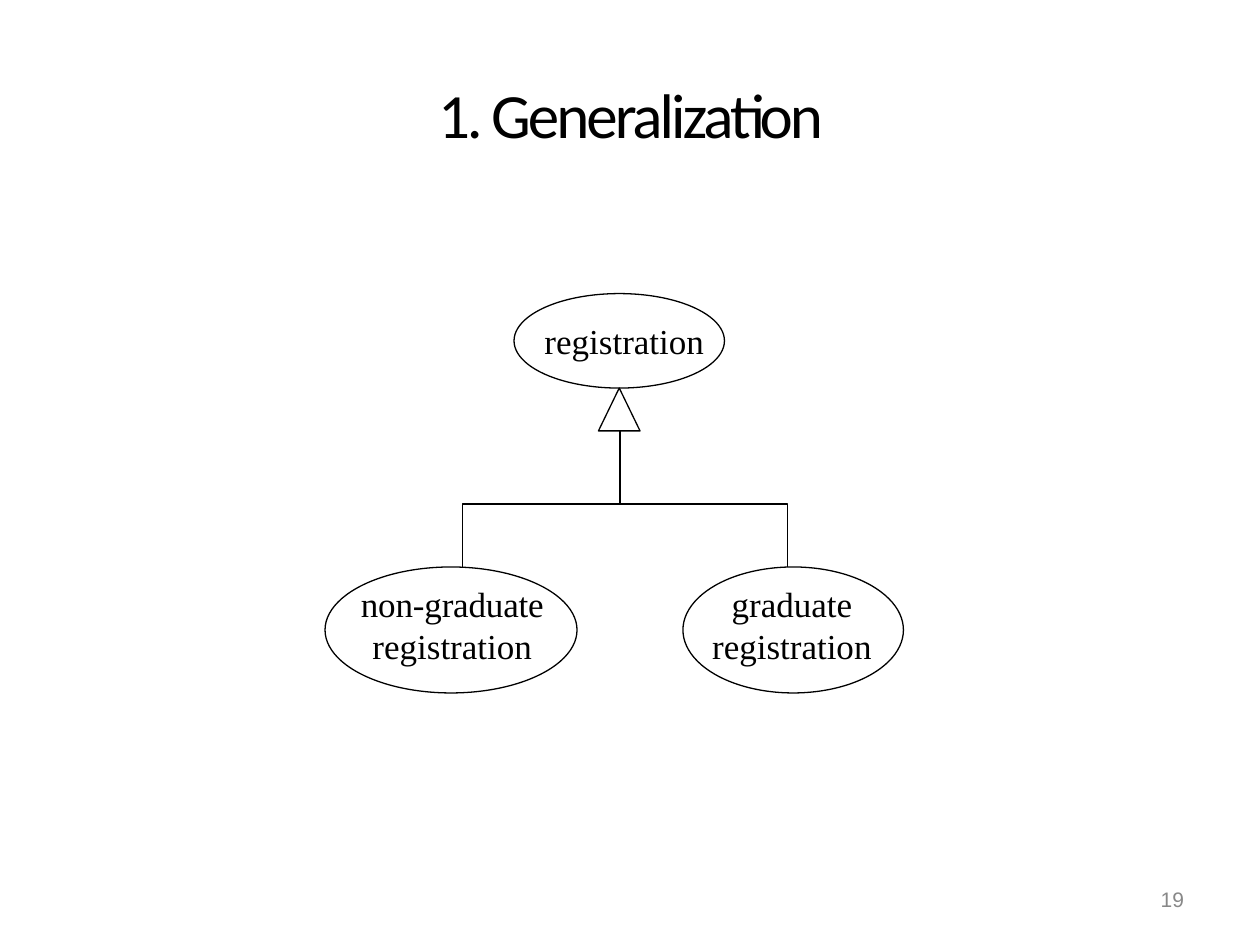
from dataclasses import dataclass

from pptx import Presentation
from pptx.dml.color import RGBColor
from pptx.enum.shapes import MSO_SHAPE
from pptx.enum.text import MSO_ANCHOR, PP_ALIGN
from pptx.util import Inches, Pt


@dataclass(frozen=True)
class Theme:
    ink: RGBColor = RGBColor(0x00, 0x00, 0x00)
    muted: RGBColor = RGBColor(0x88, 0x88, 0x88)
    title_font: str = "Calibri"
    label_font: str = "Times New Roman"
    number_font: str = "Arial"
    title_size: Pt = Pt(36)
    label_size: Pt = Pt(20)
    number_size: Pt = Pt(12)
    line_width: Pt = Pt(0.75)


theme = Theme()


def write_lines(shape, box, lines, font_name, size, color, top_margin=0.01):
    shape.left, shape.top, shape.width, shape.height = map(Inches, box)
    frame = shape.text_frame
    frame.word_wrap = False
    frame.margin_left = frame.margin_right = frame.margin_bottom = 0
    frame.margin_top = Inches(top_margin)
    for index, (line, spacing) in enumerate(lines):
        paragraph = frame.paragraphs[0] if index == 0 else frame.add_paragraph()
        paragraph.alignment = PP_ALIGN.CENTER
        run = paragraph.add_run()
        run.text = line
        run.font.name = font_name
        run.font.size = size
        run.font.color.rgb = color
        run._r.get_or_add_rPr().set("spc", str(spacing))


def outline(shape):
    shape.shadow.inherit = False
    shape.fill.background()
    shape.line.color.rgb = theme.ink
    shape.line.width = theme.line_width


presentation = Presentation()
presentation.slide_width = Inches(10)
presentation.slide_height = Inches(7.5)
slide = presentation.slides.add_slide(presentation.slide_layouts[5])

title = slide.shapes.title
write_lines(
    title, (1.88, 0.58, 6.25, 0.62), [("1. Generalization", -170)],
    theme.title_font, theme.title_size, theme.ink, 0.02,
)
title.text_frame.vertical_anchor = MSO_ANCHOR.MIDDLE

nodes = [
    (MSO_SHAPE.OVAL, (4.08, 2.33, 1.67, 0.75)),
    (MSO_SHAPE.OVAL, (2.58, 4.5, 2, 1)),
    (MSO_SHAPE.OVAL, (5.42, 4.5, 1.75, 1)),
    (MSO_SHAPE.ISOSCELES_TRIANGLE, (4.75, 3.08, 0.33, 0.34)),
]
for preset, box in nodes:
    outline(slide.shapes.add_shape(preset, *map(Inches, box)))

trunk_x, left_x, right_x = Inches(4.92), Inches(3.67), Inches(6.25)
arrow_base, branch_y, child_top = Inches(3.42), Inches(4), Inches(4.5)
bracket = slide.shapes.build_freeform(trunk_x, arrow_base)
bracket.add_line_segments([(trunk_x, branch_y)], close=False)
bracket.move_to(left_x, child_top)
bracket.add_line_segments(
    [(left_x, branch_y), (right_x, branch_y), (right_x, child_top)], close=False
)
outline(bracket.convert_to_shape())

label_style = (theme.label_font, theme.label_size, theme.ink)
number_style = (theme.number_font, theme.number_size, theme.muted)
texts = [
    ((4.31, 2.53, 1.29, 0.36), [("registration", 0)], label_style),
    ((2.84, 4.61, 1.5, 0.7), [("non-graduate", -10), ("registration", 0)], label_style),
    ((5.64, 4.61, 1.29, 0.7), [("graduate", 0), ("registration", 0)], label_style),
    ((9.2, 7.03, 0.21, 0.23), [("19", 0)], number_style),
]
for box, lines, style in texts:
    write_lines(slide.shapes.add_textbox(*map(Inches, box)), box, lines, *style)

presentation.save("out.pptx")
